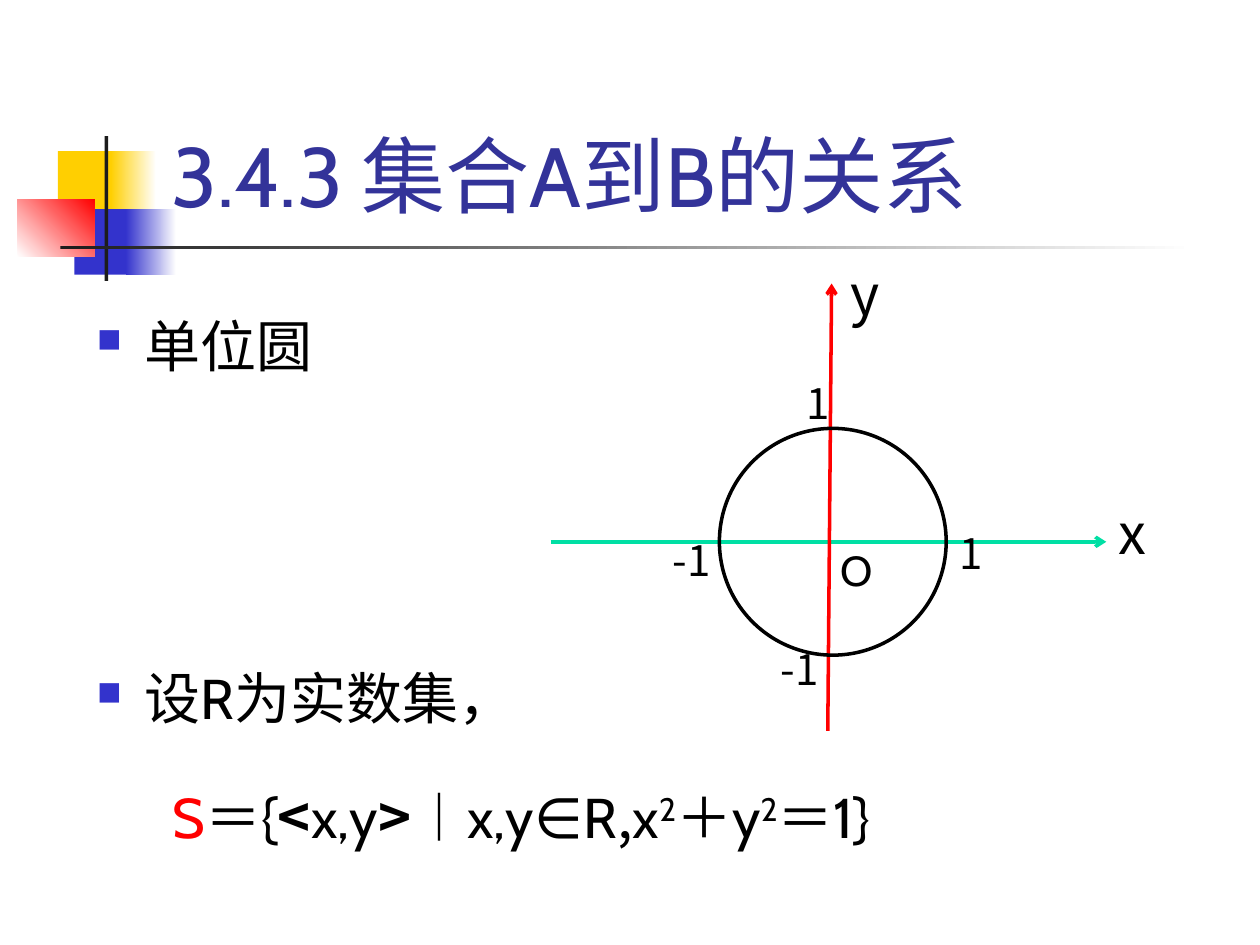
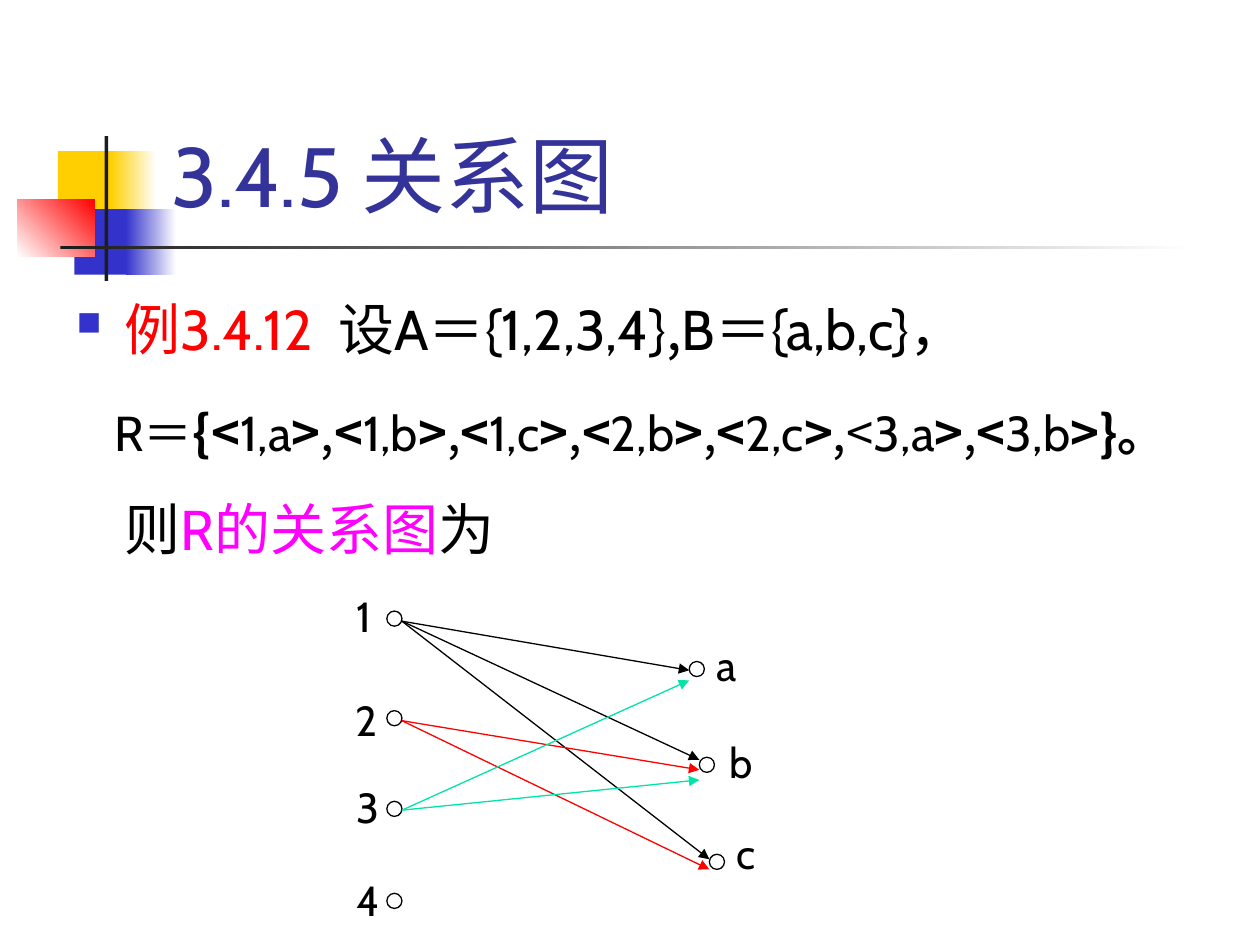
from lxml import etree
from pptx import Presentation, util as u
from pptx.dml.color import RGBColor
from pptx.enum import shapes, text
from pptx.oxml.ns import qn

COLORS = {
    "yellow": "FFCF01", "blue": "3333CC", "red": "FF0000", "ink": "1C1C1C",
    "white": "FFFFFF", "title": "333399", "black": "000000",
    "axis": "00DFA4", "teal": "00E4A8", "magenta": "FF00FF",
}
LATIN, CJK = "Cabin", "Noto Sans CJK SC"
BOLD = {"font": CJK, "bold": True}
WIDE = {"font": CJK}
SQUARED = {"base": 30000}
RED = {"color": "red"}


def rgb(name):
    return RGBColor.from_string(COLORS[name])


def inches(*values):
    return [u.Inches(v) for v in values]


class Deck:
    def __init__(self):
        self.prs = Presentation()
        self.prs.slide_width, self.prs.slide_height = inches(10, 7.5)
        self.s = None

    def slide(self, title):
        self.s = self.prs.slides.add_slide(self.prs.slide_layouts[6])
        self.block(0.46, 1.2, 0.48, 0.52, "yellow")
        self.block(0.88, 1.2, 0.36, 0.52, "yellow", "white")
        self.block(0.59, 1.66, 0.46, 0.52, "blue")
        self.block(1, 1.66, 0.4, 0.52, "blue", "white")
        self.block(0.14, 1.58, 0.61, 0.46, "white", "red", 45)
        self.block(0.83, 1.08, 0.03, 1.15, "ink")
        self.block(0.48, 1.95, 9, 0.03, "ink", "white")
        tf = self.box(1.26, 0.23, 8.52, 1.6)
        tf.vertical_anchor = text.MSO_ANCHOR.BOTTOM
        self.run(tf.paragraphs[0], title, 48, "title")

    def block(self, x, y, w, h, color, fade=None, angle=0):
        sp = self.s.shapes.add_shape(shapes.MSO_SHAPE.RECTANGLE, *inches(x, y, w, h))
        sp.shadow.inherit = False
        sp.line.fill.background()
        if fade:
            sp.fill.gradient()
            sp.fill.gradient_angle = angle
            for stop, name in zip(sp.fill.gradient_stops, (color, fade)):
                stop.color.rgb = rgb(name)
        else:
            sp.fill.solid()
            sp.fill.fore_color.rgb = rgb(color)

    def circle(self, x, y, size, weight=0.75):
        sp = self.s.shapes.add_shape(shapes.MSO_SHAPE.OVAL, *inches(x, y, size, size))
        sp.shadow.inherit = False
        sp.fill.background()
        sp.line.color.rgb = rgb("black")
        sp.line.width = u.Pt(weight)

    def arrow(self, start, end, color, weight=0.75, tip="triangle"):
        c = self.s.shapes.add_connector(shapes.MSO_CONNECTOR.STRAIGHT, *inches(*start, *end))
        c.line.color.rgb = rgb(color)
        c.line.width = u.Pt(weight)
        etree.SubElement(c.line._get_or_add_ln(), qn("a:tailEnd"), type=tip)
        etree.SubElement(c._element.spPr, qn("a:effectLst"))

    def box(self, x, y, w, h, wrap=True):
        tf = self.s.shapes.add_textbox(*inches(x, y, w, h)).text_frame
        tf.word_wrap = wrap
        return tf

    def run(self, p, words, size=32, color="black", font=LATIN, bold=False, base=0):
        r = p.add_run()
        r.text = words
        r.font.size, r.font.name, r.font.bold = u.Pt(size), font, bold
        r.font.color.rgb = rgb(color)
        rPr = r.font._element
        if base:
            rPr.set("baseline", str(base))
        etree.SubElement(rPr, qn("a:ea"), typeface=CJK)

    def label(self, x, y, w, words, size=24, font=LATIN):
        tf = self.box(x, y, w, 0.5 * size / 24, wrap=False)
        self.run(tf.paragraphs[0], words, size, font=font)

    def paragraph(self, p, runs, spacing, before=0, left=0.38, first=0, bullet=False, size=32):
        p.line_spacing = spacing
        p.space_before = u.Pt(before)
        pPr = p._p.get_or_add_pPr()
        pPr.set("marL", str(u.Inches(left)))
        pPr.set("indent", str(u.Inches(-left if bullet else first)))
        if bullet:
            clr = etree.SubElement(pPr, qn("a:buClr"))
            etree.SubElement(clr, qn("a:srgbClr"), val=COLORS["blue"])
            etree.SubElement(pPr, qn("a:buSzPct"), val="60000")
            etree.SubElement(pPr, qn("a:buChar"), char="■")
        for words, style in runs:
            self.run(p, words, **{"size": size, **style})


def unit_circle(deck):
    deck.slide("3.4.3 集合A到B的关系")
    tf = deck.box(0.67, 2.1, 9.12, 5.4)
    deck.paragraph(tf.paragraphs[0], [("单位圆", {})], 1.6, bullet=True)
    deck.paragraph(tf.add_paragraph(), [("设R为实数集，", {})], 1.6, 140, bullet=True)
    deck.paragraph(tf.add_paragraph(), [
        ("S", RED), ("＝{", {}), ("<", BOLD), ("x,y", {}), (">", BOLD),
        ("︱x,y∈R", {}), (",", WIDE), ("x", {}), ("2", SQUARED),
        ("＋y", {}), ("2", SQUARED), ("＝1}", {}),
    ], 1.6, 6.4, left=0.6)
    deck.arrow((4.37, 4.3), (8.78, 4.3), "axis", 2, "arrow")
    deck.arrow((6.57, 5.8), (6.6, 2.25), "red", 2, "arrow")
    deck.circle(5.71, 3.4, 1.8, 2)
    deck.label(6.57, 4.27, 0.44, "O")
    for x, y, name in ((8.78, 3.91, "x"), (6.65, 2.01, "y")):
        deck.label(x, y, 0.43, name, 32, CJK)
    for x, y, w, mark in ((7.52, 4.14, 0.37, "1"), (5.24, 4.19, 0.54, "-1"),
                          (6.3, 2.95, 0.37, "1"), (6.1, 5.06, 0.54, "-1")):
        deck.label(x, y, w, mark, font=CJK)


def relation_graph(deck):
    deck.slide("3.4.5 关系图")
    tf = deck.box(0.51, 2.02, 9.49, 5.48)
    deck.paragraph(tf.paragraphs[0], [
        ("例3.4.12  ", RED), ("设A＝{1,2,3,4}", {}), (",", WIDE), ("B＝{a,b,c}，", {}),
    ], 1.5, bullet=True)
    relation = [("R＝", {}), ("{", BOLD)]
    for i, pair in enumerate(("1,a", "1,b", "1,c", "2,b", "2,c", "3,a", "3,b")):
        if i:
            relation.append((",", WIDE))
        relation += [("<", WIDE if pair == "3,a" else BOLD), (pair, {}), (">", BOLD)]
    relation.append(("}。", BOLD))
    deck.paragraph(tf.add_paragraph(), relation, 1.5, 6.4, first=-0.08, size=28)
    deck.paragraph(tf.add_paragraph(), [
        ("则", {}), ("R的关系图", {"color": "magenta"}), ("为", {}),
    ], 1.5)

    dot = 0.12
    sources = {"1": (4.85, 2.73, 4.64), "2": (5.64, 2.72, 5.46),
               "3": (6.36, 2.73, 6.15), "4": (7.09, 2.73, 6.89)}
    for name, (y, label_x, label_y) in sources.items():
        deck.circle(3.07, y, dot)
        deck.label(label_x, label_y, 0.38, name)
    targets = {"a": (5.47, 5.25, 5.59, 5.03), "b": (5.55, 6.01, 5.69, 5.8),
               "c": (5.63, 6.78, 5.75, 6.52)}
    for name, (x, y, label_x, label_y) in targets.items():
        deck.circle(x, y, dot)
        deck.label(label_x, label_y, 0.38, name)
    edges = (("1", 4.93, "black", (("a", 5.32), ("b", 6.03), ("c", 6.82))),
             ("2", 5.72, "red", (("b", 6.11), ("c", 6.9))),
             ("3", 6.43, "teal", (("a", 5.4), ("b", 6.19))))
    for source, start_y, color, ends in edges:
        for target, end_y in ends:
            deck.arrow((3.19, start_y), (targets[target][0], end_y), color)


def main():
    deck = Deck()
    unit_circle(deck)
    relation_graph(deck)
    deck.prs.save("out.pptx")


if __name__ == "__main__":
    main()
